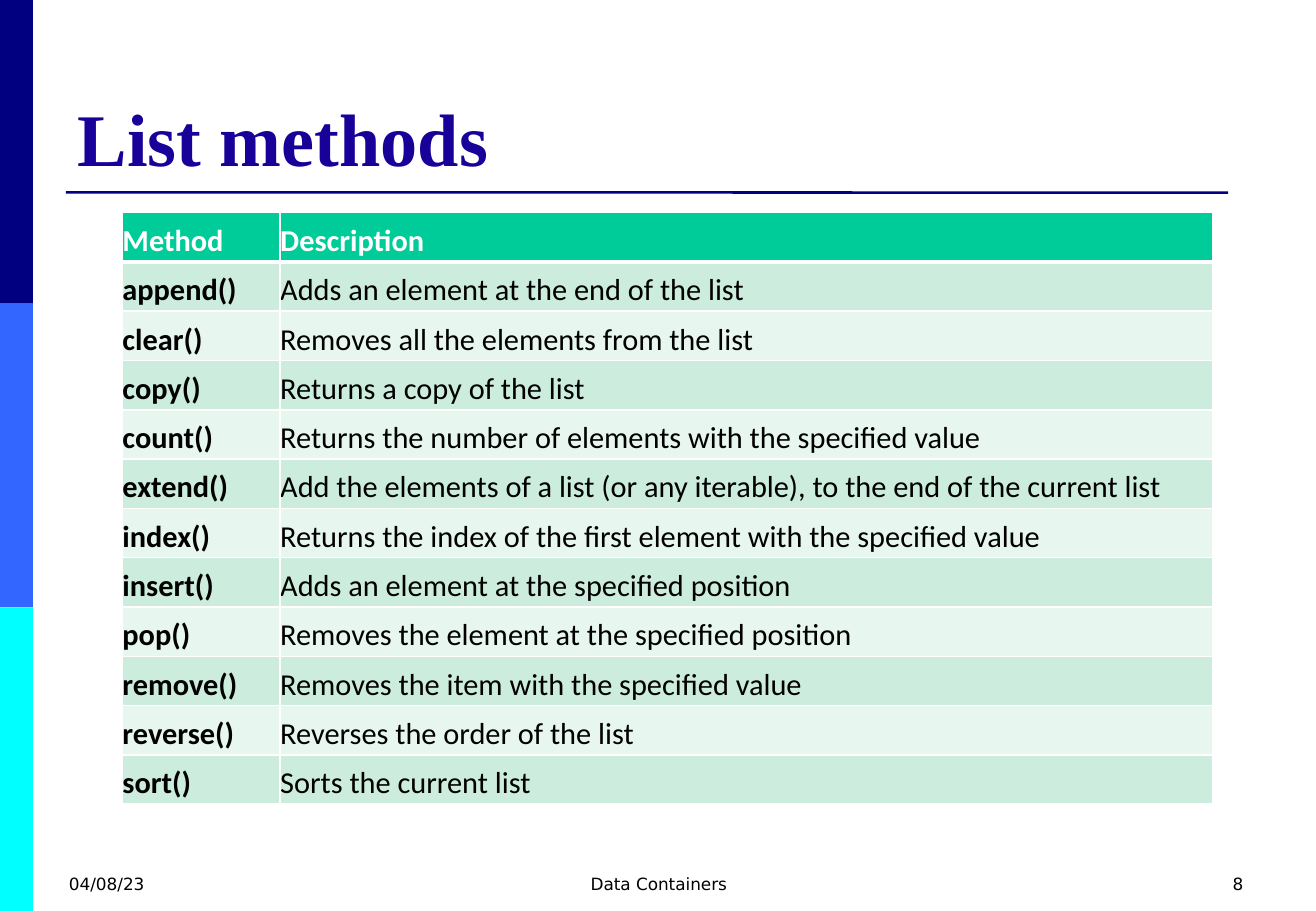
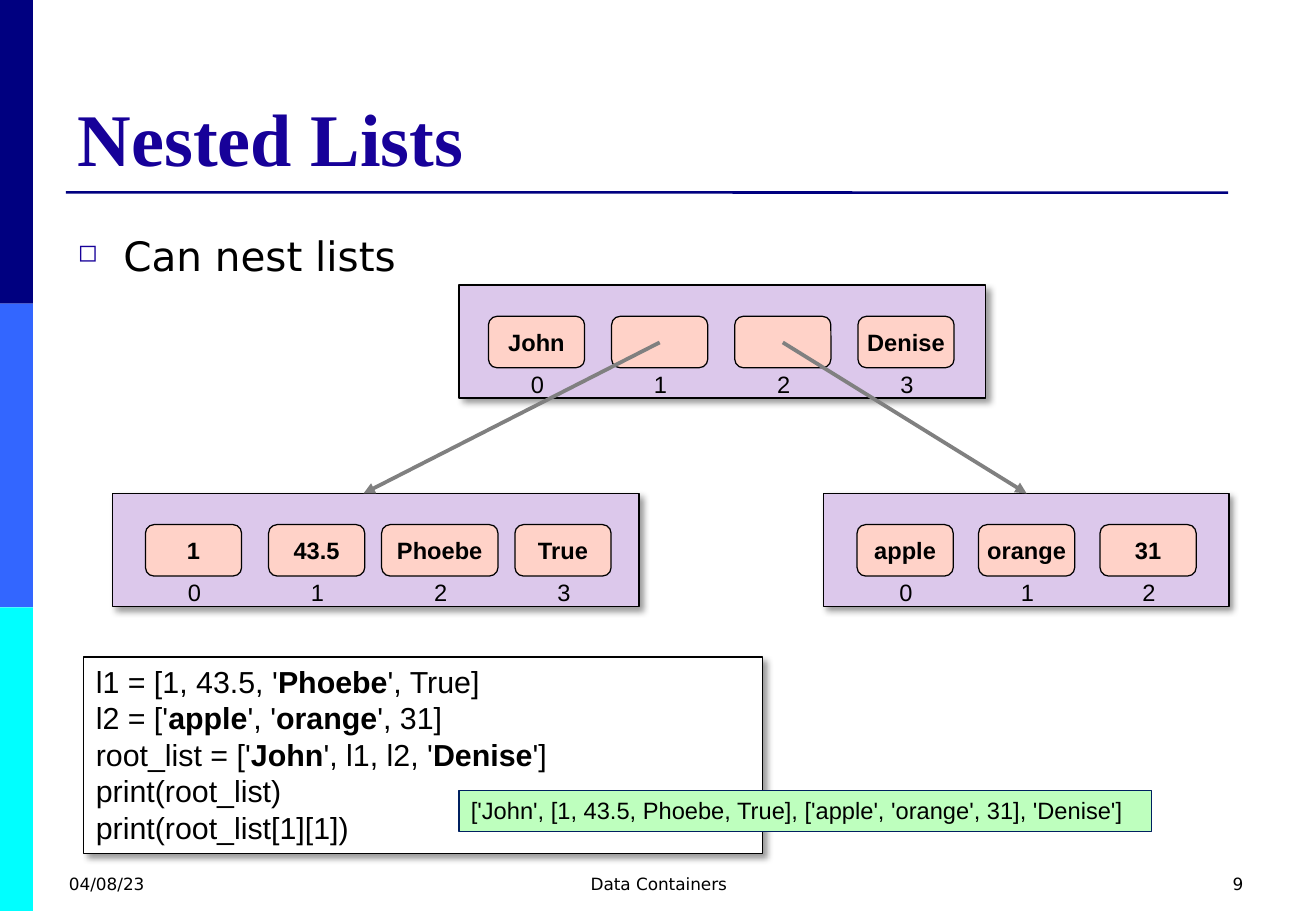
from dataclasses import dataclass
from lxml.etree import SubElement
from pptx import Presentation
from pptx.dml.color import RGBColor
from pptx.enum.shapes import MSO_CONNECTOR, MSO_SHAPE
from pptx.enum.text import MSO_ANCHOR, PP_ALIGN
from pptx.oxml.ns import qn
from pptx.util import Pt


@dataclass(frozen=True)
class Theme:
    navy: str = "000080"
    blue: str = "3366FF"
    cyan: str = "00FFFF"
    title: str = "170199"
    black: str = "000000"
    white: str = "FFFFFF"
    head: str = "00CC99"
    bands: tuple = ("CCECDE", "E7F6EF")
    panel: str = "DCC8EB"
    slot: str = "FFD2C8"
    output: str = "BEFFBE"
    edge: str = "002060"
    arrow: str = "808080"
    serif: str = "Times New Roman"
    sans: str = "Arial"
    grid: str = "Calibri"
    body: str = "DejaVu Sans"
    huge: int = 44
    large: int = 24
    code: int = 18
    small: int = 14
    foot: int = 10


THEME = Theme()
PAGE = (0, 0, 780, 540)
METHODS = [
    ("Method", "Description"),
    ("append()", "Adds an element at the end of the list"),
    ("clear()", "Removes all the elements from the list"),
    ("copy()", "Returns a copy of the list"),
    ("count()", "Returns the number of elements with the specified value"),
    ("extend()", "Add the elements of a list (or any iterable), to the end of the current list"),
    ("index()", "Returns the index of the first element with the specified value"),
    ("insert()", "Adds an element at the specified position"),
    ("pop()", "Removes the element at the specified position"),
    ("remove()", "Removes the item with the specified value"),
    ("reverse()", "Reverses the order of the list"),
    ("sort()", "Sorts the current list"),
]
CODE = [
    "l1 = [1, 43.5, 'Phoebe', True]",
    "l2 = ['apple', 'orange', 31]",
    "root_list = ['John', l1, l2, 'Denise']",
    "print(root_list)",
    "print(root_list[1][1])",
]
RESULT = "['John', [1, 43.5, Phoebe, True], ['apple', 'orange', 31], 'Denise']"


def rgb(code):
    return RGBColor.from_string(code)


def points(*sizes):
    return [Pt(size) for size in sizes]


def style(para, face, size, color=THEME.black, bold=False, align=PP_ALIGN.LEFT):
    para.alignment = align
    for run in para.runs:
        font = run.font
        font.name, font.size, font.bold = face, Pt(size), bold
        font.color.rgb = rgb(color)


def label(slide, box, text, face, size, anchor=MSO_ANCHOR.TOP, **look):
    """Add a text box of one paragraph and return the paragraph."""
    frame = slide.shapes.add_textbox(*points(*box)).text_frame
    frame.word_wrap = True
    frame.vertical_anchor = anchor
    frame.text = text
    style(frame.paragraphs[0], face, size, **look)
    return frame.paragraphs[0]


def block(slide, box, fill, line=None, kind=MSO_SHAPE.RECTANGLE, shade=False):
    """Add a filled shape, with a thin outline or a soft shadow on request."""
    shape = slide.shapes.add_shape(kind, *points(*box))
    shape.shadow.inherit = False
    shape.fill.solid()
    shape.fill.fore_color.rgb = rgb(fill)
    if line:
        shape.line.color.rgb = rgb(line)
        shape.line.width = Pt(0.75)
    else:
        shape.line.fill.background()
    if shade:
        effects = shape._element.spPr.find(qn("a:effectLst"))
        drop = SubElement(effects, qn("a:outerShdw"), blurRad=str(Pt(4)),
                          dist=str(Pt(3)), dir="2700000", algn="tl", rotWithShape="0")
        tint = SubElement(drop, qn("a:srgbClr"), val=THEME.black)
        SubElement(tint, qn("a:alpha"), val="40000")
    shape.text_frame.word_wrap = True
    return shape


def link(slide, start, end, color, width, arrow=False):
    line = slide.shapes.add_connector(MSO_CONNECTOR.STRAIGHT, *points(*start, *end))
    line.line.color.rgb = rgb(color)
    line.line.width = Pt(width)
    props = line._element.spPr
    if arrow:
        SubElement(props.find(qn("a:ln")), qn("a:tailEnd"), type="triangle")
    SubElement(props, qn("a:effectLst"))


def base(deck, title, number, box=PAGE):
    """Add a slide with the side bands, title, rule and footer."""
    slide = deck.slides.add_slide(deck.slide_layouts[6])
    left, top, width, height = box
    band = height / 3
    for i, color in enumerate((THEME.navy, THEME.blue, THEME.cyan)):
        block(slide, (left, top + i * band, 19.5, band), color)
    link(slide, (left + 39, top + 114), (left + 728, top + 114.2), THEME.navy, 1.5)
    label(slide, (left + 39, top + 21.5, width - 78, 89.5), title, THEME.serif,
          THEME.huge, MSO_ANCHOR.BOTTOM, color=THEME.title, bold=True)
    notes = (
        (33.8, 182, "04/08/23", PP_ALIGN.LEFT),
        (267, 247, "Data Containers", PP_ALIGN.CENTER),
        (562, 182, str(number), PP_ALIGN.RIGHT),
    )
    for x, wide, text, align in notes:
        label(slide, (left + x, top + height - 26, wide, 26), text,
              THEME.body, THEME.foot, align=align)
    return slide


def border(cell, top, bottom):
    props = cell._tc.get_or_add_tcPr()
    for side, width in (("L", 1), ("R", 1), ("T", top), ("B", bottom)):
        line = SubElement(props, qn("a:ln" + side), w=str(Pt(width)))
        fill = SubElement(line, qn("a:solidFill"))
        SubElement(fill, qn("a:srgbClr"), val=THEME.white)


def table(slide, box, rows, widths):
    grid = slide.shapes.add_table(len(rows), len(widths), *points(*box)).table
    grid.horz_banding = False
    for col, width in zip(grid.columns, widths):
        col.width = Pt(width)
    for r, row in enumerate(rows):
        grid.rows[r].height = Pt(box[3] / len(rows))
        head = r == 0
        for c, text in enumerate(row):
            cell = grid.cell(r, c)
            border(cell, 3 if r == 1 else 1, 3 if head else 1)
            cell.fill.solid()
            cell.fill.fore_color.rgb = rgb(THEME.head if head else THEME.bands[(r - 1) % 2])
            cell.vertical_anchor = MSO_ANCHOR.MIDDLE
            cell.margin_left = cell.margin_bottom = 0
            cell.margin_top = cell.margin_right = Pt(4.5)
            cell.text = text
            style(cell.text_frame.paragraphs[0], THEME.grid, THEME.code,
                  THEME.white if head else THEME.black, bold=head or c == 0)


def bullet(slide, box, text):
    para = label(slide, box, text, THEME.body, THEME.large)
    props = para._p.get_or_add_pPr()
    props.set("marL", str(Pt(27)))
    props.set("indent", str(-Pt(27)))
    tint = SubElement(props, qn("a:buClr"))
    SubElement(tint, qn("a:srgbClr"), val=THEME.title)
    SubElement(props, qn("a:buSzPct"), val="60000")
    SubElement(props, qn("a:buChar"), char="◻")
    para.line_spacing = 1.25


def panel(slide, box, items, lead, pitch=73, broad=()):
    """Draw a list as numbered slots, some broad, and return the slot centres."""
    block(slide, box, THEME.panel, THEME.black, shade=True)
    left, top = box[:2]
    mids = []
    for i, text in enumerate(items):
        mid = left + lead + i * pitch + 28.5
        wide = 69 if i in broad else 57
        slot = block(slide, (mid - wide / 2, top + 18.5, wide, 30.5), THEME.slot,
                     THEME.black, MSO_SHAPE.ROUNDED_RECTANGLE)
        if text:
            frame = slot.text_frame
            frame.margin_left = frame.margin_right = Pt(3)
            frame.vertical_anchor = MSO_ANCHOR.MIDDLE
            frame.text = text
            style(frame.paragraphs[0], THEME.sans, THEME.small, bold=True,
                  align=PP_ALIGN.CENTER)
        label(slide, (mid - 10.5, top + 46.5, 22, 24.5), str(i), THEME.sans,
              THEME.small, align=PP_ALIGN.CENTER)
        mids.append((mid, top + 34))
    return mids


def listing(slide, box, lines):
    """Draw a code box with the words between quotes in bold."""
    frame = block(slide, box, THEME.white, THEME.black, shade=True).text_frame
    frame.vertical_anchor = MSO_ANCHOR.TOP
    frame.text = "\n".join(lines)
    for para, line in zip(frame.paragraphs, lines):
        parts = line.split("'")
        para.text = ""
        for i, part in enumerate(parts):
            quoted = i % 2 == 1
            if not quoted:
                part = ("'" if i else "") + part + ("'" if i < len(parts) - 1 else "")
            para.add_run().text = part
        style(para, THEME.sans, THEME.code)
        for run in para.runs[1::2]:
            run.font.bold = True


def result(slide, box, text):
    frame = block(slide, box, THEME.output, THEME.edge).text_frame
    frame.vertical_anchor = MSO_ANCHOR.TOP
    frame.text = text
    style(frame.paragraphs[0], THEME.sans, THEME.small)


def methods(deck):
    slide = base(deck, "List methods", 8)
    table(slide, (72.6, 126, 646.5, 351), METHODS, (93.5, 553))


def nested(deck):
    slide = base(deck, "Nested Lists", 9)
    bullet(slide, (39, 126, 702, 42), "Can nest lists")
    listing(slide, (49.7, 389.5, 402.5, 116.5), CODE)
    result(slide, (272, 468.5, 410.5, 24.5), RESULT)
    root = panel(slide, (272, 169, 312, 67), ("John", "", "", "Denise"), 17.5)
    panel(slide, (66.7, 292.5, 312, 67), ("1", "43.5", "Phoebe", "True"), 19.5,
          broad=(2,))
    panel(slide, (488, 292.5, 240.5, 67), ("apple", "orange", "31"), 20, 72)
    for start, x in zip(root[1:3], (215.5, 608.5)):
        link(slide, start, (x, 292.5), THEME.arrow, 2.25, arrow=True)


def main():
    deck = Presentation()
    deck.slide_width, deck.slide_height = points(*PAGE[2:])
    methods(deck)
    nested(deck)
    deck.save("out.pptx")


if __name__ == "__main__":
    main()
